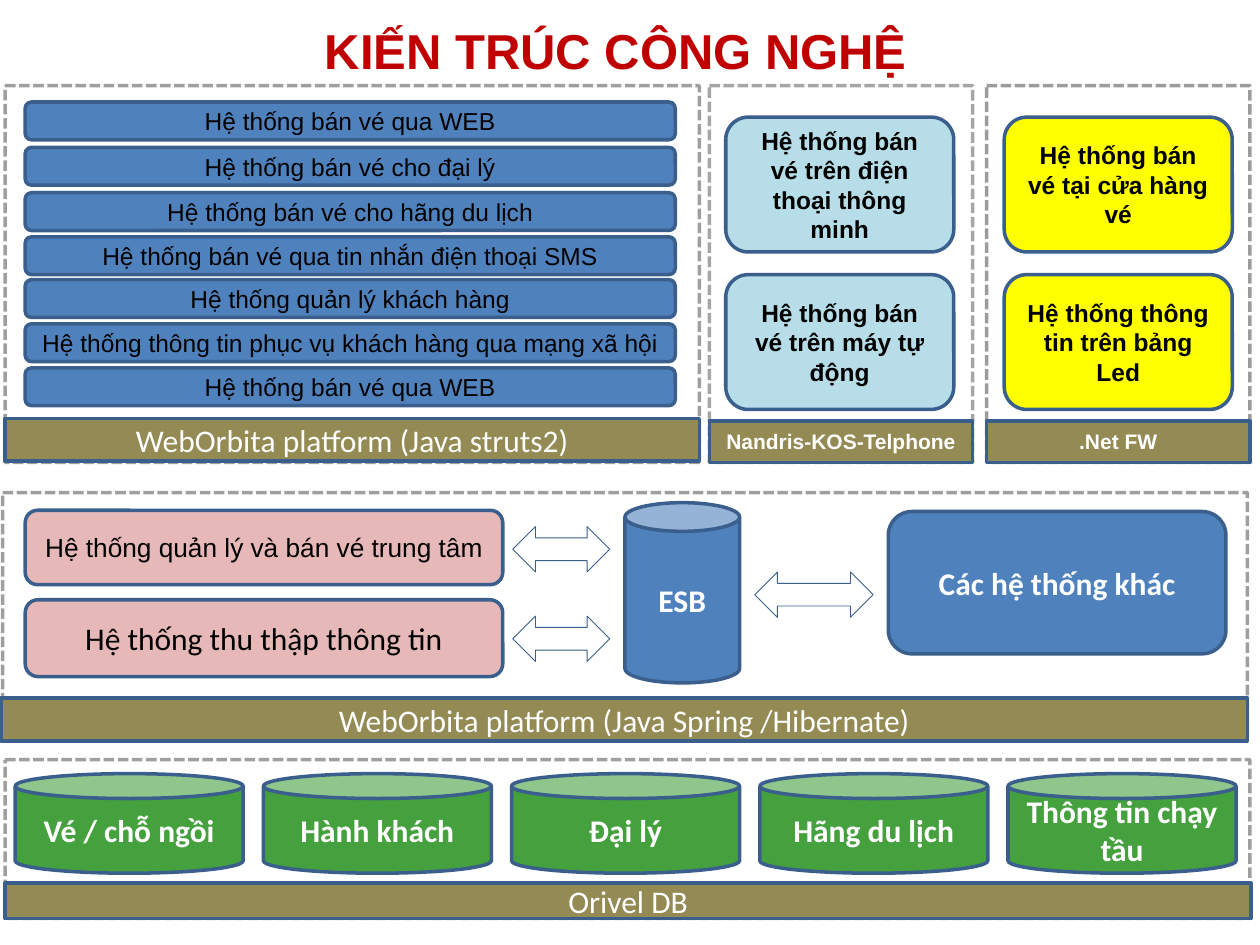
from lxml.etree import SubElement
from pptx import Presentation
from pptx.dml.color import RGBColor
from pptx.enum.dml import MSO_LINE
from pptx.enum.shapes import MSO_SHAPE
from pptx.enum.text import MSO_ANCHOR, PP_ALIGN
from pptx.oxml.ns import qn
from pptx.util import Inches, Pt

COLORS = {
    "title": "C00000", "outline": "3A5F8C", "blue": "4F81BD", "pink": "E6B9B8",
    "aqua": "B7DEE8", "yellow": "FFFF00", "green": "45A03E", "olive": "948A54",
    "gray": "404040", "black": "000000", "white": "FFFFFF",
}


def color(name):
    return RGBColor.from_string(COLORS[name])


def add_box(kind, left, top, width, height, fill, text="", size=18,
            font="Calibri", text_color="white", bold=False, line_width=2):
    """Add a filled, outlined shape with centred text; fill None leaves it hollow."""
    shape = slide.shapes.add_shape(
        kind, Inches(left), Inches(top), Inches(width), Inches(height))
    shape.shadow.inherit = False
    if fill:
        shape.fill.solid()
        shape.fill.fore_color.rgb = color(fill)
    else:
        shape.fill.background()
    shape.line.color.rgb = color("outline")
    shape.line.width = Pt(line_width)
    if text:
        shape.text_frame.text = text
        shape.text_frame.vertical_anchor = MSO_ANCHOR.MIDDLE
        paragraph = shape.text_frame.paragraphs[0]
        paragraph.alignment = PP_ALIGN.CENTER
        paragraph.font.name = font
        paragraph.font.size = Pt(size)
        paragraph.font.bold = bold
        paragraph.font.color.rgb = color(text_color)
    return shape


presentation = Presentation()
presentation.slide_width = Inches(10)
presentation.slide_height = Inches(7.5)
slide = presentation.slides.add_slide(presentation.slide_layouts[6])

# Dashed frames around the layers
frames = [
    (0.04, 0.68, 5.51, 2.99, "gray", 49),
    (5.63, 0.68, 2.09, 2.99, "black", 35),
    (7.83, 0.68, 2.09, 2.99, "black", 38),
    (0.02, 3.91, 9.88, 1.97, "gray", 49),
    (0.04, 6.03, 9.88, 1.26, "gray", 49),
]
for left, top, width, height, line_color, opacity in frames:
    frame = add_box(MSO_SHAPE.FLOWCHART_PROCESS, left, top, width, height, None)
    frame.line.color.rgb = color(line_color)
    frame.line.dash_style = MSO_LINE.SQUARE_DOT
    line_fill = frame.line._get_or_add_ln().find(qn("a:solidFill"))
    SubElement(line_fill[0], qn("a:alpha"), val=str(opacity * 1000))

# Title
title = slide.shapes.add_textbox(Inches(2.48), Inches(0.11), Inches(5.75), Inches(0.57))
title.text_frame.word_wrap = True
title.text_frame.text = "KIẾN TRÚC CÔNG NGHỆ"
heading = title.text_frame.paragraphs[0]
heading.font.name = "Arial"
heading.font.size = Pt(28)
heading.font.bold = True
heading.font.color.rgb = color("title")

# Web sales systems
web_systems = [
    "Hệ thống bán vé qua WEB",
    "Hệ thống bán vé cho đại lý",
    "Hệ thống bán vé cho hãng du lịch",
    "Hệ thống bán vé qua tin nhắn điện thoại SMS",
    "Hệ thống quản lý khách hàng",
    "Hệ thống thông tin phục vụ khách hàng qua mạng xã hội",
    "Hệ thống bán vé qua WEB",
]
web_tops = [0.81, 1.17, 1.53, 1.88, 2.22, 2.57, 2.92]
for top, text in zip(web_tops, web_systems):
    add_box(MSO_SHAPE.ROUNDED_RECTANGLE, 0.2, top, 5.16, 0.3, "blue", text,
            14, "Arial", "black")

# Mobile and counter systems
device_columns = [
    (5.76, "aqua", ["Hệ thống bán vé trên điện thoại thông minh",
                    "Hệ thống bán vé trên máy tự động"]),
    (7.97, "yellow", ["Hệ thống bán vé tại cửa hàng vé",
                      "Hệ thống thông tin trên bảng Led"]),
]
for left, fill, texts in device_columns:
    for top, text in zip([0.93, 2.18], texts):
        add_box(MSO_SHAPE.ROUNDED_RECTANGLE, left, top, 1.81, 1.07, fill, text,
                14, "Arial", "black", bold=True)

# Central systems and service bus
add_box(MSO_SHAPE.ROUNDED_RECTANGLE, 0.2, 4.05, 3.79, 0.59, "pink",
        "Hệ thống quản lý và bán vé trung tâm", 15, "Arial", "black")
add_box(MSO_SHAPE.ROUNDED_RECTANGLE, 0.2, 4.76, 3.79, 0.61, "pink",
        "Hệ thống thu thập thông tin", text_color="black")
add_box(MSO_SHAPE.CAN, 4.96, 3.99, 0.91, 1.43, "blue", "ESB", bold=True)
add_box(MSO_SHAPE.ROUNDED_RECTANGLE, 7.05, 4.06, 2.68, 1.13, "blue",
        "Các hệ thống khác", bold=True)
for left, top, width in [(4.07, 4.18, 0.77), (4.07, 4.89, 0.77), (5.99, 4.54, 0.94)]:
    add_box(MSO_SHAPE.LEFT_RIGHT_ARROW, left, top, width, 0.36, "white", line_width=0.5)

# Databases
databases = ["Vé / chỗ ngồi", "Hành khách", "Đại lý", "Hãng du lịch", "Thông tin chạy tầu"]
for index, text in enumerate(databases):
    add_box(MSO_SHAPE.CAN, 0.12 + 1.97 * index, 6.14, 1.81, 0.79, "green", text, bold=True)

# Platform bars
platforms = [
    (0.04, 3.32, 5.51, 0.34, "WebOrbita platform (Java struts2)", 18, "Calibri", False),
    (5.63, 3.34, 2.09, 0.33, "Nandris-KOS-Telphone", 12, "Arial", True),
    (7.83, 3.34, 2.09, 0.33, ".Net FW", 12, "Arial", True),
    (0.01, 5.54, 9.89, 0.34, "WebOrbita platform (Java Spring /Hibernate)", 18, "Calibri", False),
    (0.04, 7.01, 9.89, 0.28, "Orivel DB", 18, "Calibri", False),
]
for left, top, width, height, text, size, font, bold in platforms:
    add_box(MSO_SHAPE.FLOWCHART_PROCESS, left, top, width, height, "olive", text,
            size, font, bold=bold)

presentation.save("out.pptx")
